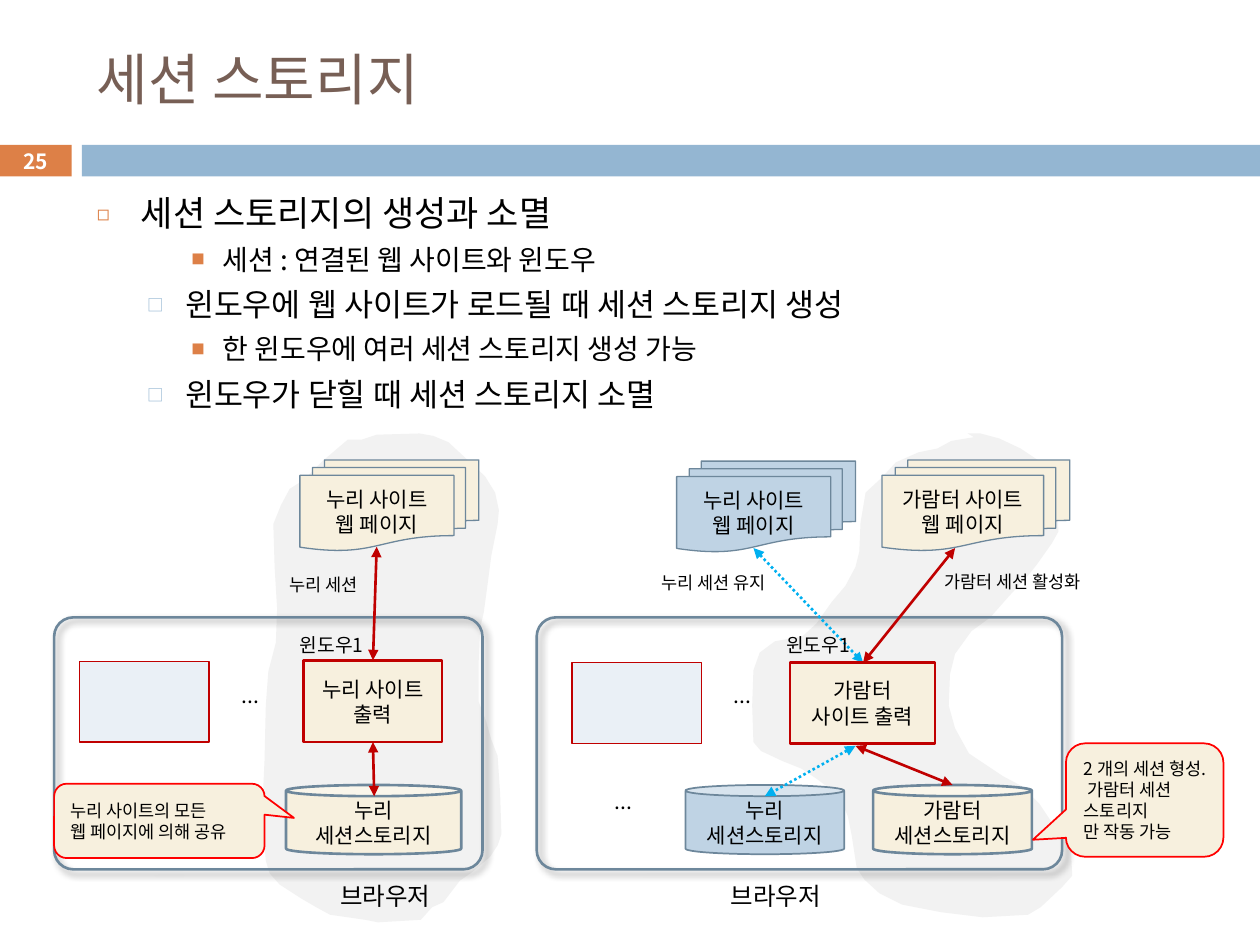
from dataclasses import dataclass

from lxml import etree
from pptx import Presentation
from pptx.dml.color import RGBColor
from pptx.enum.dml import MSO_LINE
from pptx.enum.shapes import MSO_CONNECTOR, MSO_SHAPE
from pptx.enum.text import MSO_ANCHOR, PP_ALIGN
from pptx.oxml.ns import qn
from pptx.util import Inches, Pt

LEFT, CENTER = PP_ALIGN.LEFT, PP_ALIGN.CENTER
TOP, MIDDLE = MSO_ANCHOR.TOP, MSO_ANCHOR.MIDDLE
RECT, ROUNDED, CAN = MSO_SHAPE.RECTANGLE, MSO_SHAPE.ROUNDED_RECTANGLE, MSO_SHAPE.CAN
CALLOUT, PAGES = MSO_SHAPE.ROUNDED_RECTANGULAR_CALLOUT, MSO_SHAPE.FLOWCHART_MULTIDOCUMENT
STRAIGHT, DOTTED = MSO_CONNECTOR.STRAIGHT, MSO_LINE.ROUND_DOT


@dataclass(frozen=True)
class Theme:
    font: str = "Noto Sans CJK KR"
    text: str = "000000"
    white: str = "FFFFFF"
    title: str = "775F55"
    orange: str = "DD8047"
    blue: str = "94B6D2"
    cream: str = "F7F0DE"
    kept: str = "BFD3E4"
    empty: str = "EAF0F6"
    haze: str = "F2F2F2"
    steel: str = "6D879B"
    active: str = "C00000"
    idle: str = "00B0F0"
    alert: str = "FF0000"
    title_size: float = 32
    number_size: float = 12
    browser_size: float = 14
    box_size: float = 12
    window_size: float = 11
    note_size: float = 10


THEME = Theme()
# level: text size, left margin, hanging indent, space before, mark, mark colour, mark percent
LEVELS = [
    (20, 0.35, 0.35, 7, "◻", THEME.orange, 60),
    (18, 0.7, 0.3, 5.5, "□", THEME.blue, 52),
    (16, 1, 0.25, 5, "■", THEME.orange, 48),
]
OUTLINE = [
    (0, "세션 스토리지의 생성과 소멸"),
    (2, "세션 : 연결된 웹 사이트와 윈도우"),
    (1, "윈도우에 웹 사이트가 로드될 때 세션 스토리지 생성"),
    (2, "한 윈도우에 여러 세션 스토리지 생성 가능"),
    (1, "윈도우가 닫힐 때 세션 스토리지 소멸"),
]
# Outlines in hundredths of an inch
LEFT_HAZE = [
    (276, 349), (256, 366), (241, 381), (230, 388), (223, 401), (217, 416), (218, 450),
    (220, 483), (219, 510), (213, 533), (211, 560), (210, 604), (208, 647), (211, 683),
    (214, 693), (222, 702), (239, 713), (251, 720), (262, 726), (290, 730), (300, 732),
    (334, 730), (343, 720), (352, 716), (365, 699), (375, 692), (389, 680), (395, 671),
    (398, 662), (397, 630), (395, 600), (390, 587), (386, 573), (380, 557), (380, 525),
    (381, 499), (384, 486), (387, 464), (390, 441), (395, 416), (396, 405), (393, 391),
    (385, 378), (370, 364), (356, 351), (344, 346), (333, 344), (299, 345), (287, 349),
]
RIGHT_HAZE = [
    (773, 347), (755, 350), (744, 356), (729, 359), (711, 367), (700, 379), (687, 391),
    (683, 415), (682, 438), (679, 450), (671, 465), (660, 478), (648, 495), (637, 505),
    (615, 509), (603, 518), (598, 532), (597, 560), (598, 589), (604, 596), (621, 604),
    (636, 610), (648, 618), (660, 627), (668, 636), (673, 648), (676, 663), (680, 689),
    (686, 698), (698, 709), (716, 718), (747, 724), (780, 728), (816, 726), (826, 720),
    (843, 704), (851, 695), (850, 675), (844, 663), (835, 653), (825, 638), (811, 624),
    (796, 616), (778, 604), (769, 598), (758, 578), (753, 560), (754, 535), (758, 519),
    (771, 501), (786, 490), (801, 473), (815, 458), (823, 448), (835, 431), (840, 422),
    (839, 378), (828, 368), (810, 356), (793, 348), (778, 344), (768, 344),
]


def rgb(value):
    return RGBColor.from_string(value)


def add_xml(parent, tag, **attributes):
    return etree.SubElement(parent, qn(tag), attributes)


def write(frame, text, size=THEME.box_size, color=THEME.text, bold=False,
          align=CENTER, anchor=MIDDLE, wrap=True, levels=None):
    """Put each line of the text into its own paragraph, bulleted if levels are given."""
    frame.word_wrap, frame.vertical_anchor = wrap, anchor
    for index, line in enumerate(text.split("\n")):
        paragraph = frame.add_paragraph() if index else frame.paragraphs[0]
        if levels:
            size, margin, hang, before, mark, mark_color, percent = LEVELS[levels[index]]
            props = paragraph._p.get_or_add_pPr()
            props.set("marL", str(Inches(margin)))
            props.set("indent", str(-Inches(hang)))
            add_xml(add_xml(props, "a:buClr"), "a:srgbClr", val=mark_color)
            add_xml(props, "a:buSzPct", val=str(percent * 1000))
            add_xml(props, "a:buFont", typeface=THEME.font)
            add_xml(props, "a:buChar", char=mark)
            if index:
                paragraph.space_before = Pt(before)
        paragraph.alignment = align
        run = paragraph.add_run()
        run.text = line
        run.font.size, run.font.bold = Pt(size), bold
        run.font.color.rgb = rgb(color)
        run.font.name = THEME.font
        add_xml(run._r.get_or_add_rPr(), "a:ea", typeface=THEME.font)


class SlideBuilder:
    def __init__(self, slide):
        self.shapes = slide.shapes

    def paint(self, shape, fill, line, weight):
        shape.shadow.inherit = False
        if fill:
            shape.fill.solid()
            shape.fill.fore_color.rgb = rgb(fill)
        else:
            shape.fill.background()
        if line:
            shape.line.color.rgb = rgb(line)
            shape.line.width = Pt(weight)
        else:
            shape.line.fill.background()

    def shape(self, kind, box, fill=None, line=None, weight=1.5, adjust=(), text="", **style):
        shape = self.shapes.add_shape(kind, *map(Inches, box))
        self.paint(shape, fill, line, weight)
        for index, value in enumerate(adjust):
            shape.adjustments[index] = value
        if text:
            write(shape.text_frame, text, **style)
        return shape

    def label(self, box, text, **style):
        write(self.shapes.add_textbox(*map(Inches, box)).text_frame, text, **style)

    def haze(self, points):
        builder = self.shapes.build_freeform(*points[0], scale=Inches(0.01))
        builder.add_line_segments(points[1:])
        self.paint(builder.convert_to_shape(), THEME.haze, None, 0)

    def arrow(self, start, end, color=THEME.active, dash=None):
        link = self.shapes.add_connector(STRAIGHT, *map(Inches, start + end))
        link.line.color.rgb, link.line.width = rgb(color), Pt(1.5)
        if dash:
            link.line.dash_style = dash
        line = link.line._get_or_add_ln()
        for end_tag in ("a:headEnd", "a:tailEnd"):
            add_xml(line, end_tag, type="triangle")
        add_xml(link._element.spPr, "a:effectLst")

    def browser(self, x, width, caption_x):
        frame = self.shape(ROUNDED, (x, 4.9, width, 2), line=THEME.steel, adjust=[0.076])
        effects = frame._element.spPr.find(qn("a:effectLst"))
        shadow = add_xml(effects, "a:outerShdw", blurRad=str(Pt(4)), dist=str(Pt(3)),
                         dir=str(45 * 60000), algn="tl", rotWithShape="0")
        add_xml(add_xml(shadow, "a:srgbClr", val="000000"), "a:alpha", val="40000")
        self.label((caption_x, 6.94, 0.99, 0.34), "브라우저", size=THEME.browser_size,
                   align=LEFT, anchor=TOP, wrap=False)

    def storage(self, x, width, site, fill=THEME.cream, weight=1.5):
        self.shape(CAN, (x, 6.23, width, 0.55), fill, THEME.steel, weight, [0.162],
                   f"{site}\n세션스토리지")

    def pages(self, x, y, width, site, fill=THEME.cream):
        self.shape(PAGES, (x, y, width, 0.72), fill, THEME.steel, 0.75,
                   text=f"{site} 사이트\n웹 페이지")

    def window(self, box, text):
        self.shape(RECT, box, THEME.cream, THEME.active, text=text)

    def empty_window(self, x, y):
        self.shape(RECT, (x, y, 1.03, 0.64), THEME.empty, THEME.active, 0.75)

    def window_name(self, x):
        self.label((x, 4.98, 0.75, 0.29), "윈도우1", size=THEME.window_size,
                   align=LEFT, anchor=TOP, wrap=False)

    def session(self, box, text):
        self.label(box, text, size=THEME.note_size, anchor=TOP, wrap=False)

    def ellipsis(self, x, y):
        self.label((x, y, 0.52, 0.77), "...")

    def callout(self, box, adjust, text):
        self.shape(CALLOUT, box, THEME.cream, THEME.alert, 1, adjust, text,
                   size=THEME.note_size, align=LEFT)


def main():
    deck = Presentation()
    deck.slide_width, deck.slide_height = Inches(10), Inches(7.5)
    page = SlideBuilder(deck.slides.add_slide(deck.slide_layouts[6]))

    page.shape(RECT, (0, 1.15, 0.57, 0.25), THEME.orange, text="25",
               size=THEME.number_size, color=THEME.white, bold=True)
    page.shape(RECT, (0.65, 1.15, 9.35, 0.25), THEME.blue)
    page.label((0.67, 0.25, 8.92, 0.74), "세션 스토리지", size=THEME.title_size,
               color=THEME.title, align=LEFT)
    levels, lines = zip(*OUTLINE)
    page.label((0.67, 1.47, 8.92, 1.95), "\n".join(lines), levels=levels,
               align=LEFT, anchor=TOP)
    page.haze(LEFT_HAZE)
    page.haze(RIGHT_HAZE)

    # Right browser: the second site is active, the first session is kept
    page.browser(4.26, 4.17, 5.7)
    page.arrow((5.98, 4.35), (6.85, 5.26), THEME.idle, DOTTED)
    page.session((5.09, 4.49, 1.14, 0.27), "누리 세션 유지")
    page.storage(5.44, 1.26, "누리", THEME.kept, 1)
    page.arrow((6.79, 5.92), (6.07, 6.32), THEME.idle, DOTTED)
    page.ellipsis(4.69, 5.97)
    page.storage(6.93, 1.26, "가람터")
    page.arrow((7.58, 4.35), (6.85, 5.26))
    page.session((7.3, 4.48, 1.47, 0.27), "가람터 세션 활성화")
    page.arrow((6.79, 5.92), (7.56, 6.23))
    page.callout((8.46, 5.9, 1.25, 0.9), (-0.71, 0.35, 0.17),
                 "2 개의 세션 형성. 가람터 세션 스토리지\n만 작동 가능")
    page.window((6.27, 5.26, 1.15, 0.64), "가람터\n사이트 출력")
    page.empty_window(4.54, 5.26)
    page.ellipsis(5.63, 5.13)
    page.window_name(6.14)

    # Left browser: one site, one session
    page.browser(0.43, 3.4, 2.6)
    page.arrow((2.99, 4.34), (2.96, 5.24))
    page.session((2.16, 4.51, 0.81, 0.27), "누리 세션")
    page.storage(2.27, 1.39, "누리")
    page.window((2.41, 5.24, 1.1, 0.65), "누리 사이트\n출력")
    page.ellipsis(1.73, 5.13)
    page.arrow((2.96, 5.89), (2.97, 6.32))
    page.callout((0.43, 6.22, 1.67, 0.59), (0.64, -0.04, 0.17),
                 "누리 사이트의 모든\n웹 페이지에 의해 공유")
    page.window_name(2.28)
    page.empty_window(0.63, 5.25)

    page.pages(2.38, 3.65, 1.42, "누리")
    page.pages(5.37, 3.66, 1.42, "누리", THEME.kept)
    page.pages(7, 3.65, 1.49, "가람터")
    deck.save("out.pptx")


if __name__ == "__main__":
    main()
